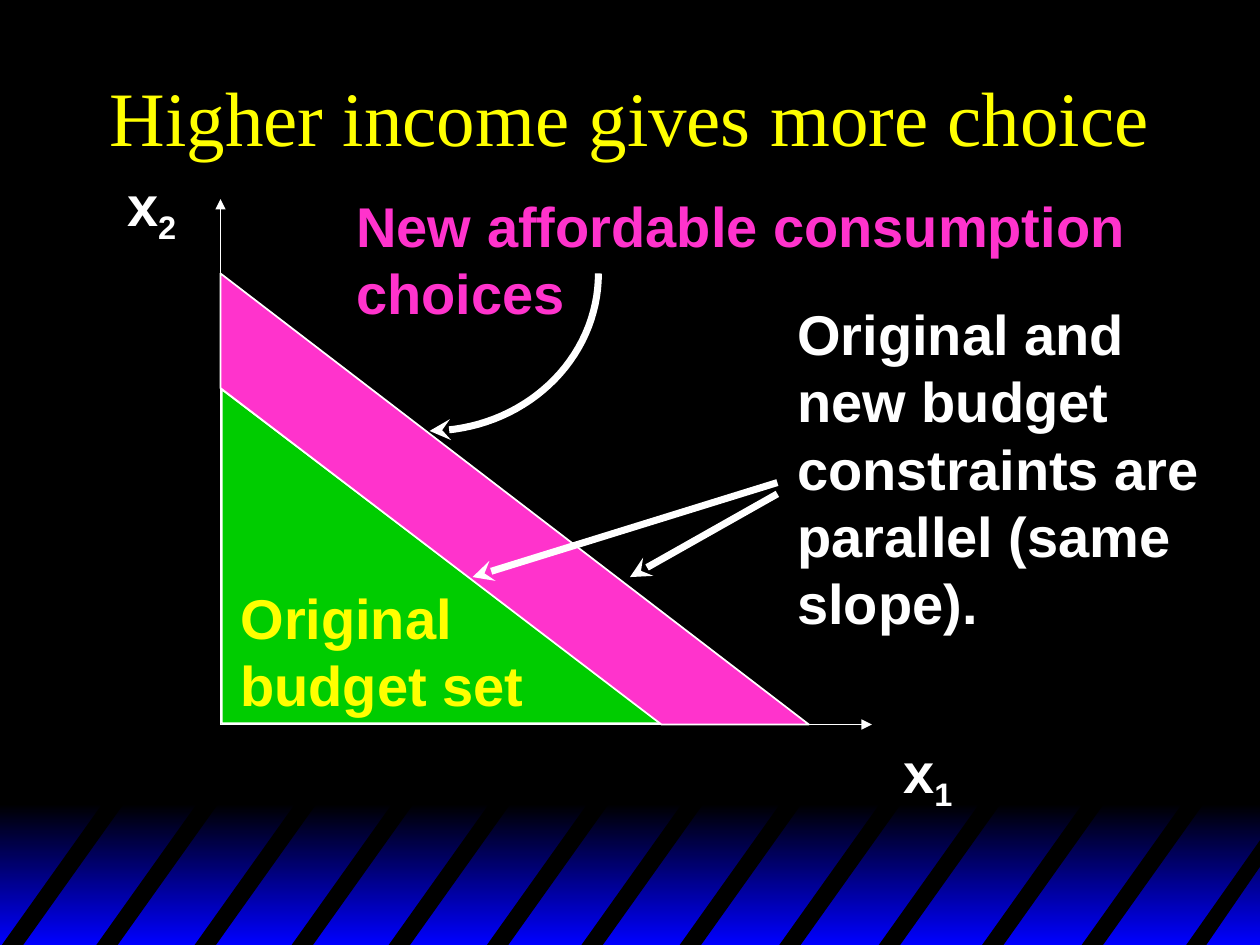
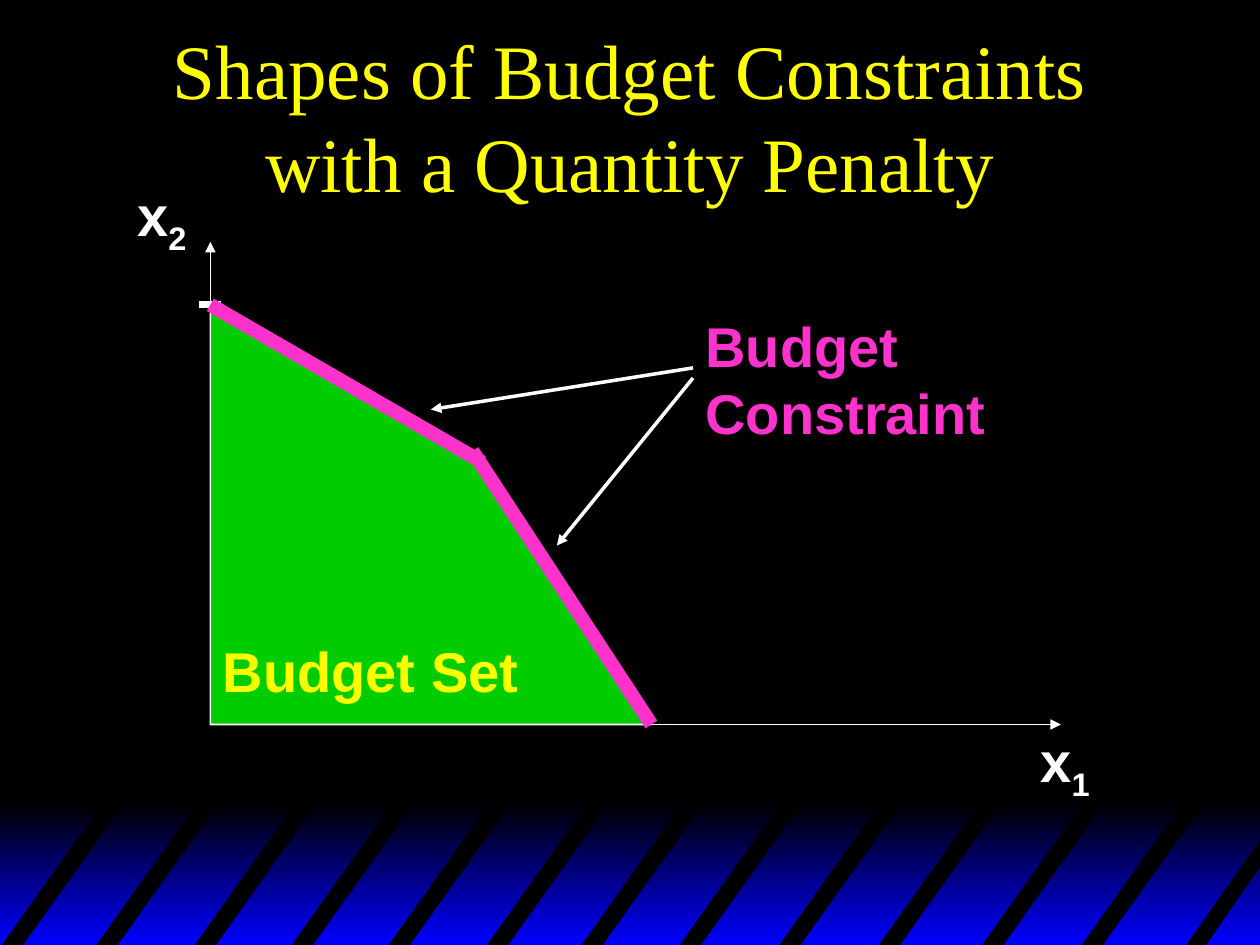
"""Build two slides on budget constraints and consumer choice."""
from dataclasses import dataclass
from math import cos, pi, sin

from lxml.etree import SubElement
from pptx import Presentation
from pptx.dml.color import RGBColor
from pptx.enum.dml import MSO_LINE
from pptx.enum.shapes import MSO_CONNECTOR, MSO_SHAPE
from pptx.enum.text import MSO_ANCHOR, PP_ALIGN
from pptx.oxml.ns import qn
from pptx.presentation import Presentation as Deck
from pptx.shapes.autoshape import Shape
from pptx.slide import Slide
from pptx.util import Inches, Pt

BLACK = RGBColor(0x00, 0x00, 0x00)
BLUE = RGBColor(0x00, 0x00, 0xFF)
WHITE = RGBColor(0xFF, 0xFF, 0xFF)
YELLOW = RGBColor(0xFF, 0xFF, 0x00)
GREEN = RGBColor(0x00, 0xCC, 0x00)
PINK = RGBColor(0xFF, 0x33, 0xCC)
TITLE_FONT = "Times New Roman"
LABEL_FONT = "Arial"

BAND_TOP, STRIPE_TOP, STRIPE_BOTTOM = 6.38, 6.34, 7.52
STRIPE_LEFTS = (0, 0.75, 1.53, 2.3, 3.07, 3.85, 4.6, 5.38, 6.17, 6.96, 7.78, 8.57)
STRIPE_WIDTH, STRIPE_SLANT = 0.17, 0.84
BASELINE = 5.75

Point = tuple[float, float]


@dataclass(frozen=True)
class Label:
    text: str
    left: float
    top: float
    width: float
    height: float
    color: RGBColor = WHITE
    subscript: str = ""
    wrap: bool = False


@dataclass(frozen=True)
class Line:
    start: Point
    end: Point
    weight: float = 1
    color: RGBColor = WHITE
    head: str = ""
    tail: str = ""
    dashed: bool = False


def add_arrowhead(shape, end: str, kind: str) -> None:
    outline = shape.line._get_or_add_ln()
    SubElement(outline, qn(f"a:{end}"), type=kind)


def draw_line(slide: Slide, line: Line) -> None:
    ends = (Inches(value) for value in (*line.start, *line.end))
    connector = slide.shapes.add_connector(MSO_CONNECTOR.STRAIGHT, *ends)
    connector.line.color.rgb = line.color
    connector.line.width = Pt(line.weight)
    if line.dashed:
        connector.line.dash_style = MSO_LINE.DASH
    if line.head:
        add_arrowhead(connector, "headEnd", line.head)
    if line.tail:
        add_arrowhead(connector, "tailEnd", line.tail)
    SubElement(connector.element.spPr, qn("a:effectLst"))


def draw_outline(slide: Slide, points: list[Point], fill: RGBColor | None,
                 weight: float = 1, closed: bool = True) -> Shape:
    corners = [(Inches(x), Inches(y)) for x, y in points]
    builder = slide.shapes.build_freeform(*corners[0])
    builder.add_line_segments(corners[1:], close=closed)
    outline = builder.convert_to_shape()
    outline.shadow.inherit = False
    if fill is None:
        outline.fill.background()
    else:
        outline.fill.solid()
        outline.fill.fore_color.rgb = fill
    if weight:
        outline.line.color.rgb = WHITE
        outline.line.width = Pt(weight)
    else:
        outline.line.fill.background()
    return outline


def draw_label(slide: Slide, label: Label) -> None:
    place = (label.left, label.top, label.width, label.height)
    frame = slide.shapes.add_textbox(*map(Inches, place)).text_frame
    frame.word_wrap = label.wrap
    frame.text = label.text
    if label.subscript:
        index = frame.paragraphs[0].add_run()
        index.text = label.subscript
        index.font._element.set("baseline", "-25000")
    for paragraph in frame.paragraphs:
        paragraph.font.name = LABEL_FONT
        paragraph.font.size = Pt(32)
        paragraph.font.bold = True
        paragraph.font.color.rgb = label.color


def draw_axes(slide: Slide, left: float, top: float, right: float) -> None:
    origin = (left, BASELINE)
    draw_line(slide, Line((left, top), origin, head="triangle"))
    draw_line(slide, Line(origin, (right, BASELINE), tail="triangle"))


def draw_curved_arrow(slide: Slide, center: Point, radii: Point) -> None:
    steps = 32
    angles = [pi / 2 * step / steps for step in range(steps + 1)]
    points = [(center[0] + radii[0] * cos(a), center[1] + radii[1] * sin(a)) for a in angles]
    curve = draw_outline(slide, points, None, weight=4, closed=False)
    add_arrowhead(curve, "tailEnd", "stealth")


def add_titled_slide(deck: Deck, title: str) -> Slide:
    slide = deck.slides.add_slide(deck.slide_layouts[5])
    heading = slide.shapes.title
    heading.left, heading.top = Inches(0.75), Inches(0.25)
    heading.width, heading.height = Inches(8.5), Inches(1.33)
    heading.text_frame.text = title
    heading.text_frame.vertical_anchor = MSO_ANCHOR.MIDDLE
    paragraph = heading.text_frame.paragraphs[0]
    paragraph.alignment = PP_ALIGN.CENTER
    paragraph.font.name = TITLE_FONT
    paragraph.font.size = Pt(44)
    paragraph.font.color.rgb = YELLOW
    return slide


def decorate_master(deck: Deck, slide: Slide) -> None:
    """Draw the striped band on a slide and move it to the master."""
    master = deck.slide_master
    master.background.fill.solid()
    master.background.fill.fore_color.rgb = BLACK
    band = slide.shapes.add_shape(MSO_SHAPE.RECTANGLE, 0, Inches(BAND_TOP),
                                  Inches(10.02), Inches(7.5 - BAND_TOP))
    band.shadow.inherit = False
    band.line.fill.background()
    band.fill.gradient()
    band.fill.gradient_angle = 270
    for stop, color, position in zip(band.fill.gradient_stops, (BLACK, BLUE), (0, 1)):
        stop.color.rgb = color
        stop.position = position
    stripes = [[(left, STRIPE_BOTTOM), (left + STRIPE_SLANT, STRIPE_TOP),
                (left + STRIPE_SLANT + STRIPE_WIDTH, STRIPE_TOP),
                (left + STRIPE_WIDTH, STRIPE_BOTTOM)] for left in STRIPE_LEFTS]
    stripes.append([(9.4, STRIPE_BOTTOM), (10.02, 6.64), (10.02, 6.85), (9.56, STRIPE_BOTTOM)])
    parts = [band] + [draw_outline(slide, stripe, BLACK, weight=0) for stripe in stripes]
    for order, part in enumerate(parts):
        part.element.nvSpPr.cNvPr.set("id", str(100 + order))
        master.shapes.element.insert(2 + order, part.element)


def draw_higher_income(slide: Slide) -> None:
    budget_set = slide.shapes.add_shape(MSO_SHAPE.RIGHT_TRIANGLE, Inches(1.76), Inches(3.09),
                                        Inches(3.49), Inches(2.65))
    budget_set.shadow.inherit = False
    budget_set.fill.solid()
    budget_set.fill.fore_color.rgb = GREEN
    budget_set.line.color.rgb = WHITE
    budget_set.line.width = Pt(1)
    new_choices = [(1.75, 2.17), (6.42, BASELINE), (5.25, BASELINE), (1.75, 3.08)]
    draw_outline(slide, new_choices, PINK)
    draw_curved_arrow(slide, center=(3.41, 2.17), radii=(1.34, 1.25))
    for label in (
        Label("Original\nbudget set", 1.81, 4.58, 2.45, 1.17, YELLOW),
        Label("New affordable consumption\vchoices", 2.73, 1.47, 6.31, 1.17, PINK),
        Label("x", 0.91, 1.3, 0.59, 0.71, subscript="2"),
        Label("x", 7.07, 5.8, 0.59, 0.71, subscript="1"),
        Label("Original and\nnew budget\nconstraints are\nparallel (same\nslope).",
              6.23, 2.33, 3.63, 2.77, wrap=True),
    ):
        draw_label(slide, label)
    draw_line(slide, Line((6.17, 3.83), (3.75, 4.58), 4, tail="stealth"))
    draw_line(slide, Line((6.17, 3.92), (5, 4.58), 4, tail="stealth"))
    draw_axes(slide, left=1.75, top=1.58, right=6.92)


def draw_quantity_penalty(slide: Slide) -> None:
    intercept, kink, limit = (1.67, 2.42), (3.75, 3.58), (5.17, BASELINE)
    upper_end = (3.83, 3.67)
    draw_outline(slide, [intercept, kink, limit, (1.67, BASELINE)], GREEN)
    draw_axes(slide, left=1.67, top=1.92, right=8.42)
    for line in (
        Line((1.58, 2.42), (1.75, 2.42), 4),
        Line(intercept, upper_end, 4, PINK, dashed=True),
        Line((5.5, 2.92), (3.42, 3.25), 2, tail="triangle"),
        Line((5.5, 3), (4.42, 4.33), 2, tail="triangle"),
        Line(kink, limit, 8, PINK),
        Line(intercept, upper_end, 8, PINK),
    ):
        draw_line(slide, line)
    for label in (
        Label("x", 0.99, 1.38, 0.59, 0.71, subscript="2"),
        Label("x", 8.16, 5.72, 0.59, 0.71, subscript="1"),
        Label("Budget Set", 1.67, 5, 2.7, 0.63, YELLOW, wrap=True),
        Label("Budget Constraint", 5.5, 2.42, 2.58, 1.17, PINK, wrap=True),
    ):
        draw_label(slide, label)


def main() -> None:
    deck = Presentation()
    deck.slide_width, deck.slide_height = Inches(10), Inches(7.5)
    higher_income = add_titled_slide(deck, "Higher income gives more choice")
    decorate_master(deck, higher_income)
    draw_higher_income(higher_income)
    draw_quantity_penalty(add_titled_slide(
        deck, "Shapes of Budget Constraints with a Quantity Penalty"))
    deck.save("out.pptx")


if __name__ == "__main__":
    main()
